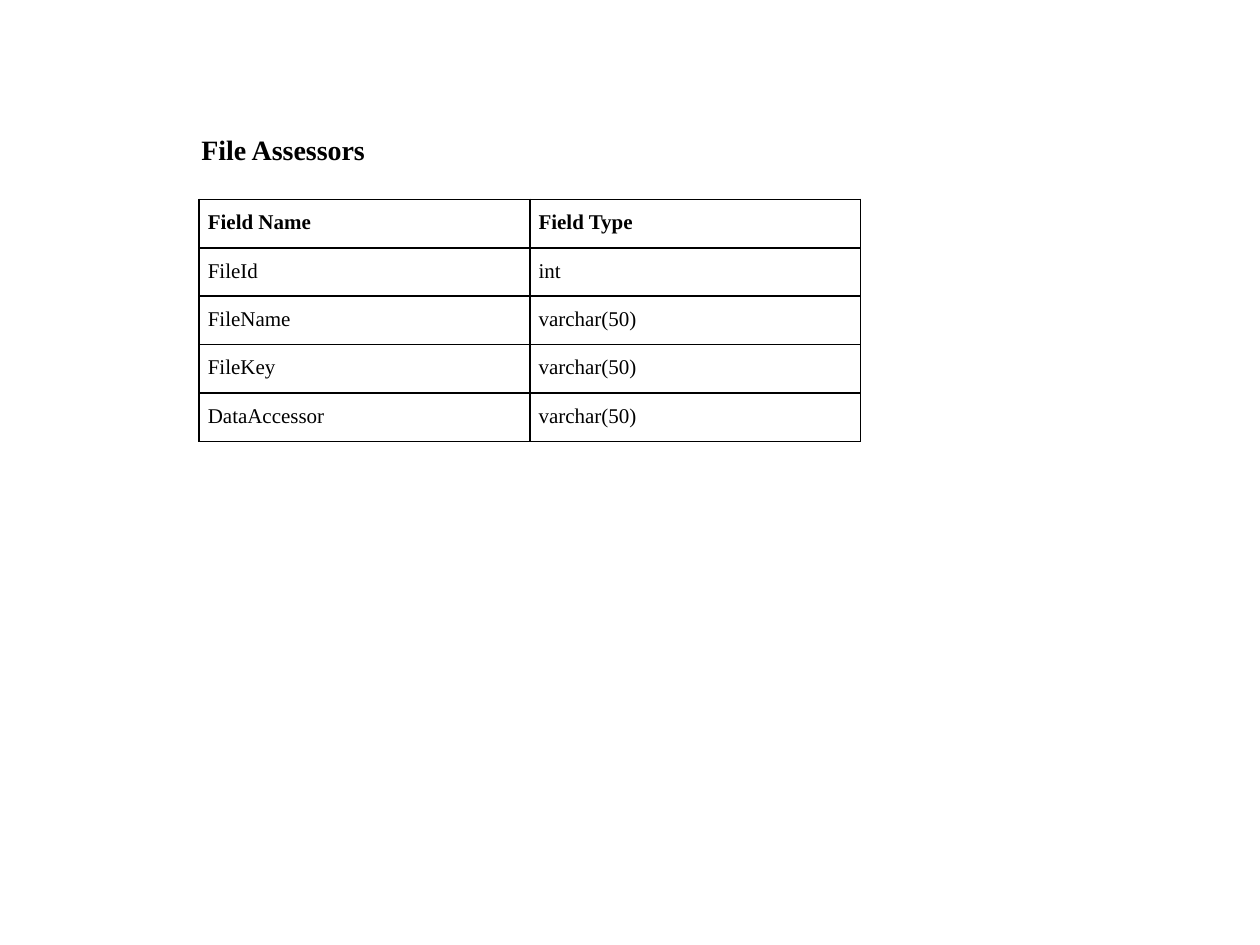
import pptx
import pptx.util
import pptx.dml.color
import pptx.enum.text
import pptx.oxml
import pptx.oxml.ns

FIELDS = [
    ("Field Name", "Field Type"),
    ("FileId", "int"),
    ("FileName", "varchar(50)"),
    ("FileKey", "varchar(50)"),
    ("DataAccessor", "varchar(50)"),
]


def rgb(value):
    return pptx.dml.color.RGBColor.from_string(value)


class SlideBuilder:
    """Holds the style and the current slide; lengths are shares of the slide."""

    font = "Times New Roman"
    ink = "000000"

    def __init__(self, prs):
        self.prs = prs
        self.s = prs.slides.add_slide(prs.slide_layouts[6])

    def x(self, share):
        return int(self.prs.slide_width * share)

    def y(self, share):
        return int(self.prs.slide_height * share)

    def style(self, p, size, bold):
        for r in p.runs:
            r.font.name = self.font
            r.font.size = pptx.util.Pt(size)
            r.font.bold = bold
            r.font.color.rgb = rgb(self.ink)

    def heading(self, text, left, top, width, height):
        sp = self.s.shapes.add_textbox(
            self.x(left), self.y(top), self.x(width), self.y(height))
        tf = sp.text_frame
        tf.text = text
        tf.word_wrap = False
        tf.auto_size = pptx.enum.text.MSO_AUTO_SIZE.SHAPE_TO_FIT_TEXT
        tf.vertical_anchor = pptx.enum.text.MSO_ANCHOR.MIDDLE
        self.style(tf.paragraphs[0], 16, True)

    def borders(self, cell, width=1):
        tc_pr = cell._tc.get_or_add_tcPr()
        # Border lines must come before the fill in the cell properties
        for i, side in enumerate(("lnL", "lnR", "lnT", "lnB")):
            tc_pr.insert(i, pptx.oxml.parse_xml(
                f'<a:{side} {pptx.oxml.ns.nsdecls("a")} w="{pptx.util.Pt(width)}">'
                f'<a:solidFill><a:srgbClr val="{self.ink}"/></a:solidFill>'
                f'</a:{side}>'))

    def table(self, rows, left, top, width, height):
        frame = self.s.shapes.add_table(
            len(rows), len(rows[0]),
            self.x(left), self.y(top), self.x(width), self.y(height))
        for i, row in enumerate(rows):
            for j, text in enumerate(row):
                cell = frame.table.cell(i, j)
                cell.fill.background()
                cell.margin_left = cell.margin_right = pptx.util.Inches(0.07)
                cell.margin_top = cell.margin_bottom = 0
                cell.text = text
                p = cell.text_frame.paragraphs[0]
                p.line_spacing = 1.5
                self.style(p, 12, i == 0)
                self.borders(cell)


def main():
    prs = pptx.Presentation()
    prs.slide_width = pptx.util.Inches(10)
    prs.slide_height = pptx.util.Inches(7.5)
    slide = SlideBuilder(prs)

    # Field table
    slide.table(FIELDS, 0.158, 0.211, 0.525, 0.256)

    # Table heading
    slide.heading("File Assessors", 0.15, 0.133, 0.154, 0.05)

    prs.save("out.pptx")


if __name__ == "__main__":
    main()
